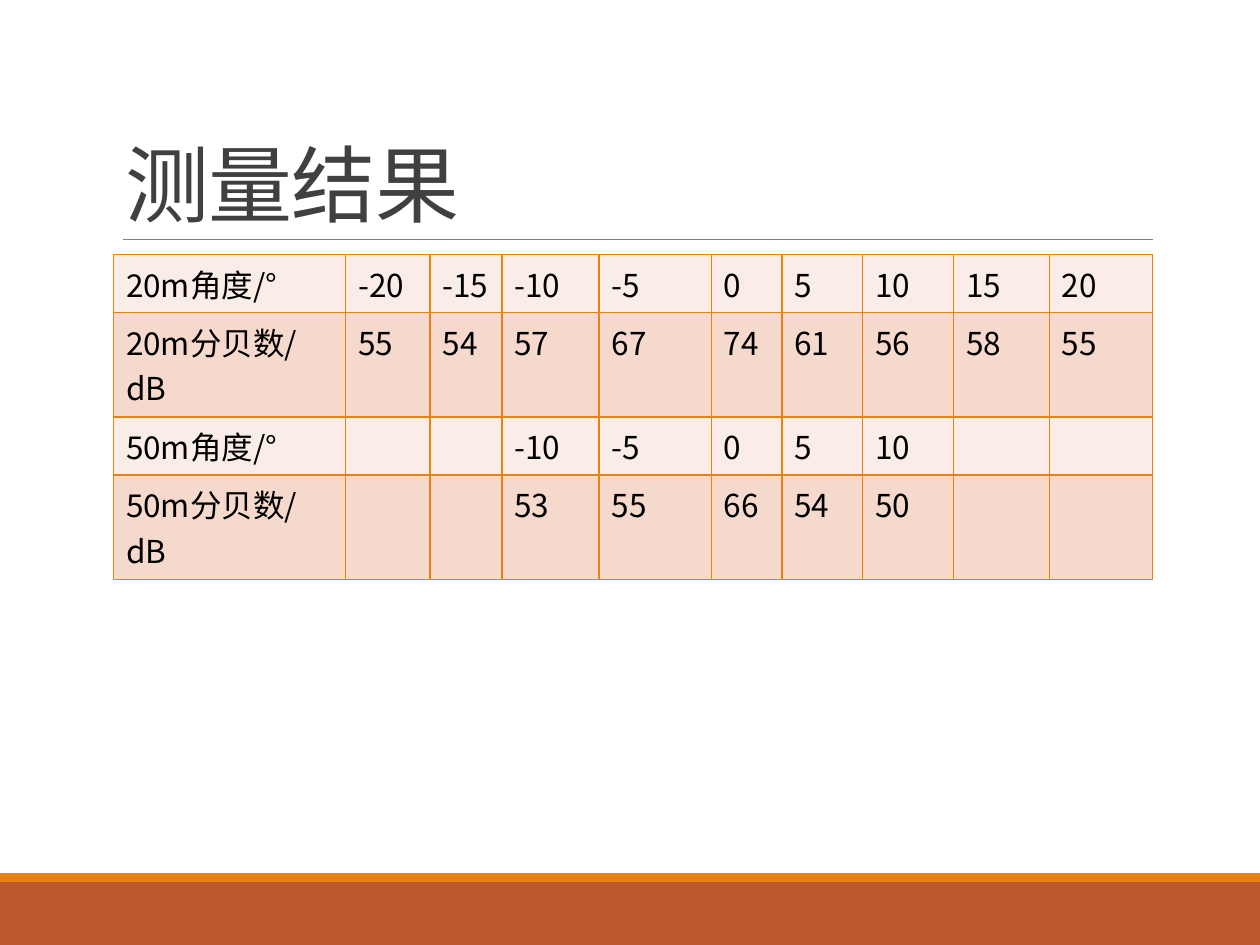
from lxml import etree
from pptx import Presentation
from pptx.dml.color import RGBColor
from pptx.enum.shapes import MSO_CONNECTOR, MSO_SHAPE
from pptx.enum.text import MSO_ANCHOR
from pptx.oxml.ns import qn
from pptx.util import Inches, Pt

STRAIGHT = MSO_CONNECTOR.STRAIGHT
RECTANGLE = MSO_SHAPE.RECTANGLE
BOTTOM = MSO_ANCHOR.BOTTOM

FONT = "Noto Sans CJK SC"
COLORS = {
    "title": "404040",
    "text": "000000",
    "rule": "808080",
    "band": "BD582C",
    "accent": "E48312",
    "angle_row": "FAEDE7",
    "level_row": "F5D9CC",
}
COLUMN_WIDTHS = [1.84, 0.67, 0.57, 0.77, 0.89, 0.56, 0.64, 0.72, 0.76, 0.82]
ROW_STYLES = [("angle_row", 0.46), ("level_row", 0.83)] * 2
MEASUREMENTS = [
    ["20m角度/°", "-20", "-15", "-10", "-5", "0", "5", "10", "15", "20"],
    ["20m分贝数/dB", "55", "54", "57", "67", "74", "61", "56", "58", "55"],
    ["50m角度/°", "", "", "-10", "-5", "0", "5", "10", "", ""],
    ["50m分贝数/dB", "", "", "53", "55", "66", "54", "50", "", ""],
]


def rgb(name):
    """Return the named palette colour."""
    return RGBColor.from_string(COLORS[name])


def style_font(font, size, color):
    """Set size, colour and the Latin and East Asian typefaces."""
    font.size = Pt(size)
    font.color.rgb = rgb(color)
    font.name = FONT
    etree.SubElement(font._element, qn("a:ea"), typeface=FONT)


def add_bar(slide, left, top, width, height, color):
    """Add a plain filled bar."""
    bar = slide.shapes.add_shape(
        RECTANGLE, Inches(left), Inches(top), Inches(width), Inches(height))
    bar.shadow.inherit = False
    bar.fill.solid()
    bar.fill.fore_color.rgb = rgb(color)
    bar.line.fill.background()


def add_footer(slide, left, top, width, height):
    """Add the footer band with its accent strip on top."""
    strip = 0.07
    add_bar(slide, left, top + strip, width, height - strip, "band")
    add_bar(slide, left, top, width, strip, "accent")


def add_title(slide, left, top, width, height):
    """Add the heading and the rule beneath it."""
    bottom = Inches(top + height)
    rule = slide.shapes.add_connector(
        STRAIGHT, Inches(left + 0.08), bottom, Inches(left + width), bottom)
    rule.line.color.rgb = rgb("rule")
    rule.line.width = Pt(0.5)
    etree.SubElement(rule._element.spPr, qn("a:effectLst"))

    heading = slide.shapes.add_textbox(
        Inches(left), Inches(top), Inches(width), Inches(height)).text_frame
    heading.word_wrap = True
    heading.vertical_anchor = BOTTOM
    heading.text = "测量结果"
    paragraph = heading.paragraphs[0]
    paragraph.line_spacing = 0.85
    font = paragraph.runs[0].font
    style_font(font, 48, "title")
    font._element.set("spc", "-50")


def add_borders(cell):
    """Draw an accent line on all four sides of a cell."""
    properties = cell._tc.get_or_add_tcPr()
    for side in ("a:lnL", "a:lnR", "a:lnT", "a:lnB"):
        line = etree.SubElement(properties, qn(side), w=str(Pt(1)))
        fill = etree.SubElement(line, qn("a:solidFill"))
        etree.SubElement(fill, qn("a:srgbClr"), val=COLORS["accent"])


def add_measurements(slide, left, top, width):
    """Add the table of sound levels by angle."""
    total_height = sum(height for _, height in ROW_STYLES)
    table = slide.shapes.add_table(
        len(MEASUREMENTS), len(COLUMN_WIDTHS), Inches(left), Inches(top),
        Inches(width), Inches(total_height)).table
    table.first_row = False
    table.horz_banding = False
    for column, share in zip(table.columns, COLUMN_WIDTHS):
        column.width = Inches(width * share / sum(COLUMN_WIDTHS))
    for row, values, (color, height) in zip(table.rows, MEASUREMENTS, ROW_STYLES):
        row.height = Inches(height)
        for cell, value in zip(row.cells, values):
            add_borders(cell)
            cell.fill.solid()
            cell.fill.fore_color.rgb = rgb(color)
            cell.text_frame.text = value
            for run in cell.text_frame.paragraphs[0].runs:
                style_font(run.font, 18, "text")


def main():
    """Build and save the slide."""
    presentation = Presentation()
    presentation.slide_width = Inches(10)
    presentation.slide_height = Inches(7.5)
    slide = presentation.slides.add_slide(presentation.slide_layouts[6])
    add_footer(slide, 0, 6.93, 10, 0.57)
    add_title(slide, 0.9, 0.31, 8.25, 1.59)
    add_measurements(slide, 0.9, 2.02, 8.25)
    presentation.save("out.pptx")


if __name__ == "__main__":
    main()
